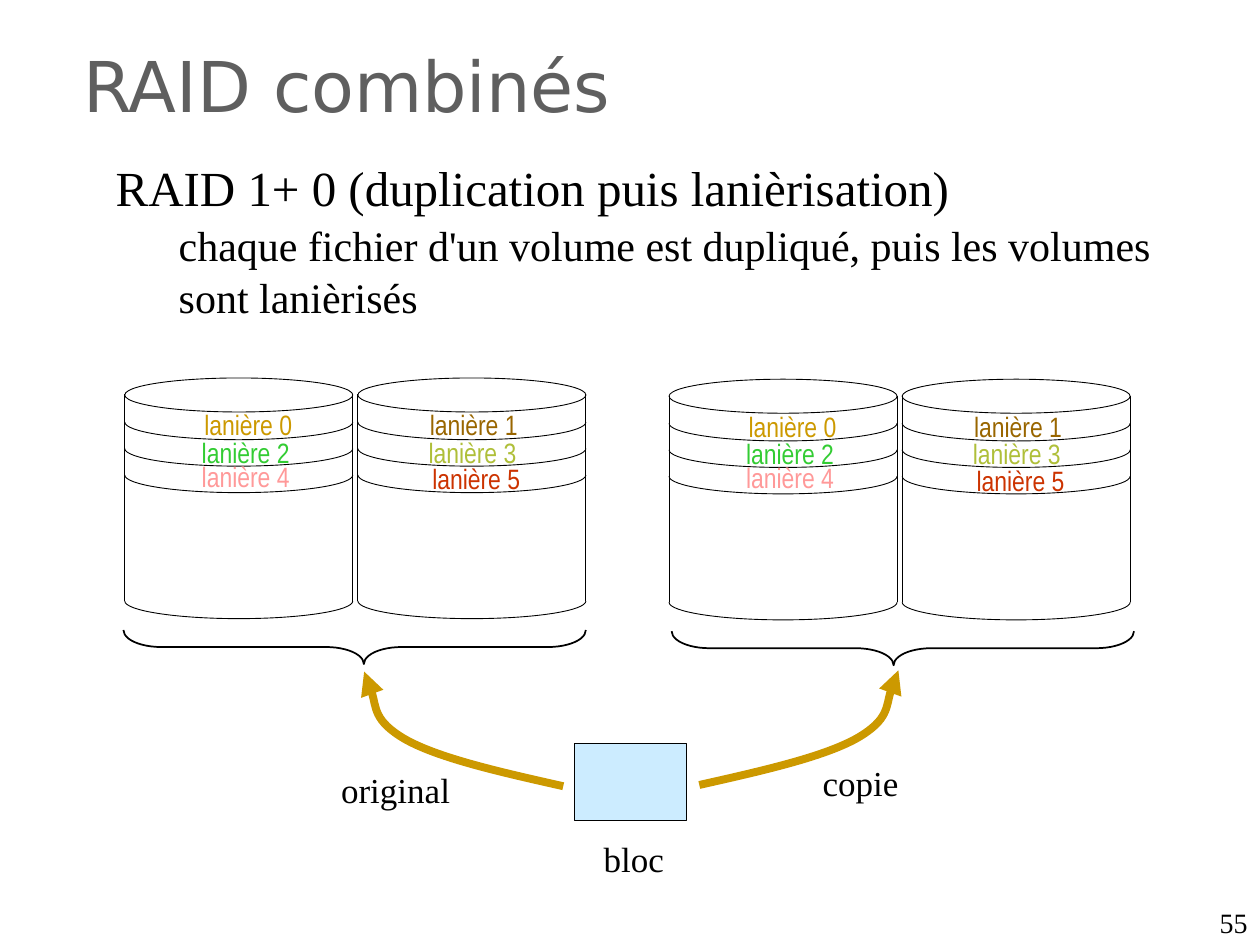
from dataclasses import dataclass

from lxml.etree import SubElement
from pptx import Presentation
from pptx.dml.color import RGBColor
from pptx.enum.shapes import MSO_CONNECTOR, MSO_SHAPE
from pptx.enum.text import MSO_ANCHOR, PP_ALIGN
from pptx.oxml.ns import qn
from pptx.util import Inches, Pt


@dataclass(frozen=True)
class Theme:
    """Fonts, type sizes, colours and line widths of the slide."""
    serif: str = "Times New Roman"
    title_font: str = "DejaVu Sans"
    narrow: str = "Arial Narrow"
    title_size: int = 40
    lead_size: int = 28
    detail_size: int = 24
    caption_size: int = 20
    small_size: int = 16
    ink: str = "000000"
    title_ink: str = "5F5F5F"
    block_fill: str = "CCECFF"
    arrow: str = "CC9900"
    thin: float = 0.5
    brace_line: float = 1
    arrow_line: float = 4.5
    spacing: float = 1.05


THEME = Theme()
DISK_WIDTH, DISK_GAP, RIM_HEIGHT = 1.81, 0.04, 0.27
WALL_TOP, WALL_BOTTOM = 0.13, 1.77
BAND_TOPS = (0.35, 0.56, 0.77)
STRIPES = (
    ("lanière 0", "CC9900", 0.3, 0.37),
    ("lanière 1", "996600", 2.09, 0.37),
    ("lanière 2", "33CC33", 0.28, 0.59),
    ("lanière 3", "AFBF39", 2.08, 0.59),
    ("lanière 4", "FF9999", 0.28, 0.78),
    ("lanière 5", "CC3300", 2.11, 0.8),
)


def style_paragraph(para, text, font, size, color, align=PP_ALIGN.LEFT, spacing=1.0):
    """Fill a paragraph and set its type."""
    para.text = text
    para.alignment = align
    para.line_spacing = spacing
    para.font.name = font
    para.font.size = Pt(size)
    para.font.color.rgb = RGBColor.from_string(color)


def add_box(page, left, top, width, height, anchor=MSO_ANCHOR.TOP, wrap=True):
    """Add an empty text box and return its frame."""
    box = page.shapes.add_textbox(Inches(left), Inches(top), Inches(width), Inches(height))
    frame = box.text_frame
    frame.word_wrap = wrap
    frame.vertical_anchor = anchor
    return frame


def outline(shape, color, width, fill=None):
    """Give a shape its line and optional fill, without shadow."""
    shape.shadow.inherit = False
    shape.line.color.rgb = RGBColor.from_string(color)
    shape.line.width = Pt(width)
    if fill:
        shape.fill.solid()
        shape.fill.fore_color.rgb = RGBColor.from_string(fill)
    else:
        shape.fill.background()


def add_preset(page, kind, left, top, width, height, line_width, fill=None):
    """Add an outlined preset shape."""
    shape = page.shapes.add_shape(kind, Inches(left), Inches(top), Inches(width), Inches(height))
    outline(shape, THEME.ink, line_width, fill)
    return shape


def add_curve(page, points, color, width):
    """Add an open cubic curve through a start and triples of points."""
    start, *rest = [(Inches(x), Inches(y)) for x, y in points]
    builder = page.shapes.build_freeform(*start)
    builder.add_line_segments(rest, close=False)
    shape = builder.convert_to_shape()
    outline(shape, color, width)
    path = next(shape.element.iter(qn("a:path")))
    segments = path.findall(qn("a:lnTo"))
    for first in range(0, len(segments), 3):
        cubic = SubElement(path, qn("a:cubicBezTo"))
        for segment in segments[first:first + 3]:
            cubic.append(segment[0])
            path.remove(segment)
    return shape


def add_arrow(page, points):
    """Add a thick curved arrow."""
    shape = add_curve(page, points, THEME.arrow, THEME.arrow_line)
    SubElement(shape.line._get_or_add_ln(), qn("a:tailEnd"), type="triangle")


def add_wall(page, x, top, bottom):
    """Add a vertical side of a disk."""
    wall = page.shapes.add_connector(
        MSO_CONNECTOR.STRAIGHT, Inches(x), Inches(bottom), Inches(x), Inches(top))
    wall.line.color.rgb = RGBColor.from_string(THEME.ink)
    wall.line.width = Pt(THEME.thin)
    SubElement(wall.element.spPr, qn("a:effectLst"))


def add_rim(page, left, top):
    """Add the lower half of an ellipse as wide as a disk."""
    half, depth, bend = DISK_WIDTH / 2, 0.14, 0.55
    steps = ((-1, 0), (-1, bend), (-bend, 1), (0, 1), (bend, 1), (1, bend), (1, 0))
    points = [(left + half + half * x, top + depth * y) for x, y in steps]
    add_curve(page, points, THEME.ink, THEME.thin)


def add_disk(page, left, top):
    """Add a disk with its stripe bands."""
    add_preset(page, MSO_SHAPE.OVAL, left, top, DISK_WIDTH, RIM_HEIGHT, THEME.thin)
    for x in (left, left + DISK_WIDTH):
        add_wall(page, x, top + WALL_TOP, top + WALL_BOTTOM)
    for offset in (*BAND_TOPS, WALL_BOTTOM):
        add_rim(page, left, top + offset)


def add_volume(page, left, top):
    """Add a pair of disks and their stripe labels."""
    for column in range(2):
        add_disk(page, left + column * (DISK_WIDTH + DISK_GAP), top)
    for text, color, x, middle in STRIPES:
        frame = add_box(page, left + x, top + middle - 0.13, 1.36, 0.26, MSO_ANCHOR.MIDDLE, False)
        style_paragraph(frame.paragraphs[0], text, THEME.narrow, THEME.small_size, color,
                        PP_ALIGN.CENTER)


def add_brace(page, kind, left, top, rotation):
    """Add a brace turned so that it points down."""
    brace = add_preset(page, kind, left, top, 0.27, 3.67, THEME.brace_line)
    brace.rotation = rotation
    brace.adjustments[0] = 1.11
    brace.adjustments[1] = 0.52


def add_caption(page, text, left, top):
    """Add a centred caption."""
    frame = add_box(page, left, top, 1.86, 0.44)
    style_paragraph(frame.paragraphs[0], text, THEME.serif, THEME.caption_size, THEME.ink,
                    PP_ALIGN.CENTER, THEME.spacing)


def add_texts(page):
    """Add the title, the explanation and the page number."""
    title = add_box(page, 0.59, 0.25, 5.29, 0.92)
    title.margin_left, title.margin_top = Inches(0.07), Inches(0.09)
    style_paragraph(title.paragraphs[0], "RAID combinés", THEME.title_font, THEME.title_size,
                    THEME.title_ink)
    body = add_box(page, 0.82, 1.18, 8.5, 1.54)
    style_paragraph(body.paragraphs[0], "RAID 1+ 0 (duplication puis lanièrisation)",
                    THEME.serif, THEME.lead_size, THEME.ink, spacing=THEME.spacing)
    detail = body.add_paragraph()
    detail.level = 1
    detail._p.get_or_add_pPr().set("marL", str(Inches(0.5)))
    style_paragraph(detail, "chaque fichier d'un volume est dupliqué, puis les volumes "
                    "sont lanièrisés", THEME.serif, THEME.detail_size, THEME.ink,
                    spacing=THEME.spacing)
    number = add_box(page, 7.67, 7.14, 2.33, 0.36, MSO_ANCHOR.BOTTOM)
    style_paragraph(number.paragraphs[0], "55", THEME.serif, THEME.small_size, THEME.ink,
                    PP_ALIGN.RIGHT)


def main():
    """Build the slide and save it."""
    deck = Presentation()
    deck.slide_width, deck.slide_height = Inches(10), Inches(7.5)
    page = deck.slides.add_slide(deck.slide_layouts[6])
    add_texts(page)
    add_volume(page, 0.99, 3)
    add_volume(page, 5.31, 3.01)
    add_brace(page, MSO_SHAPE.LEFT_BRACE, 2.68, 3.3, 270)
    add_brace(page, MSO_SHAPE.RIGHT_BRACE, 7.03, 3.31, 90)
    add_preset(page, MSO_SHAPE.RECTANGLE, 4.56, 5.9, 0.89, 0.61, THEME.thin, THEME.block_fill)
    add_arrow(page, ((4.47, 6.24), (3.98, 6.13), (3.49, 6.02), (3.22, 5.87),
                     (2.96, 5.72), (2.95, 5.42), (2.89, 5.33)))
    add_arrow(page, ((5.55, 6.23), (6.04, 6.12), (6.53, 6.01), (6.8, 5.86),
                     (7.06, 5.71), (7.07, 5.41), (7.13, 5.32)))
    add_caption(page, "bloc", 4.1, 6.58)
    add_caption(page, "original", 2.21, 6.03)
    add_caption(page, "copie", 5.9, 5.98)
    deck.save("out.pptx")


if __name__ == "__main__":
    main()
